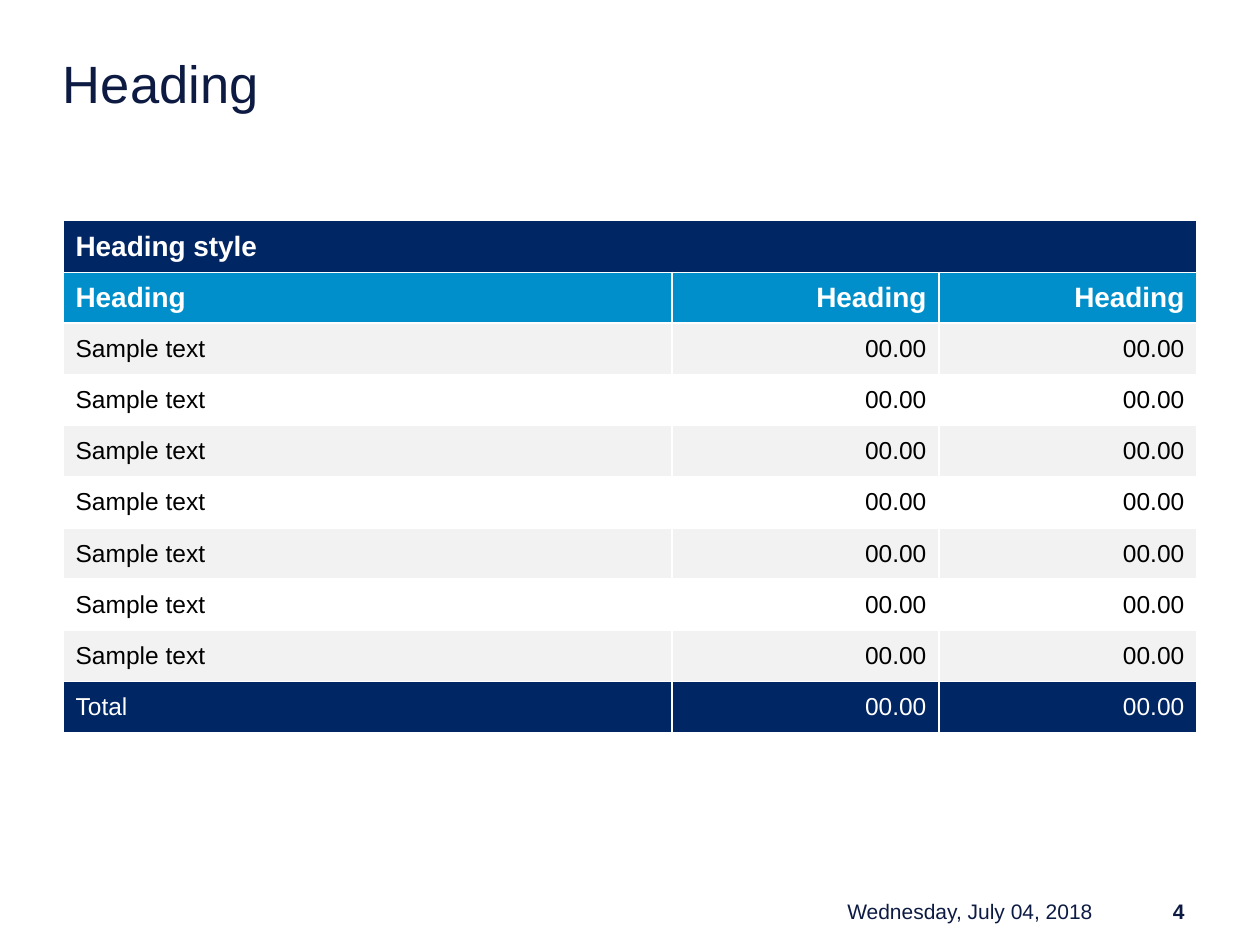
from lxml import etree
from pptx import Presentation
from pptx.dml.color import RGBColor
from pptx.enum import text
from pptx.oxml import ns
from pptx.util import Cm, Pt

NAVY, BLUE, GREY, WHITE, BLACK, INK = (
    "002663", "008FCA", "F2F2F2", "FFFFFF", "000000", "0D1B43")
LEFT, RIGHT = text.PP_ALIGN.LEFT, text.PP_ALIGN.RIGHT
MID, TOP = text.MSO_ANCHOR.MIDDLE, text.MSO_ANCHOR.TOP


def tint(color, tone):
    color.rgb = RGBColor.from_string(tone)


def write(frame, words, size, tone, bold=False, align=LEFT):
    line = frame.paragraphs[0]
    line.alignment = align
    run = line.add_run()
    run.text = words
    look = {"name": "Arial", "size": Pt(size), "bold": bold}
    for key, value in look.items():
        setattr(run.font, key, value)
    tint(run.font.color, tone)


def label(slide, box, words, size, pad=0.25, anchor=MID, **style):
    frame = slide.shapes.add_textbox(*map(Cm, box)).text_frame
    look = {"word_wrap": True, "vertical_anchor": anchor,
            "margin_left": Cm(pad), "margin_right": Cm(pad),
            "margin_top": Cm(pad / 2), "margin_bottom": Cm(pad / 2)}
    for key, value in look.items():
        setattr(frame, key, value)
    write(frame, words, size, INK, **style)


def edge(cell, sides):
    props = cell._tc.get_or_add_tcPr()
    for side, width in sides.items():
        line = etree.SubElement(props, ns.qn("a:ln" + side), w=str(Pt(width)))
        fill = etree.SubElement(line, ns.qn("a:solidFill"))
        etree.SubElement(fill, ns.qn("a:srgbClr"), val=WHITE)


def paint(cell, words, fill, tone, size, bold, align, sides):
    edge(cell, sides)
    cell.fill.solid()
    tint(cell.fill.fore_color, fill)
    cell.vertical_anchor = MID
    if words:
        write(cell.text_frame, words, size, tone, bold, align)


def grid(slide, box):
    nums = ["00.00"] * 2
    rows = [(["Heading style", "", ""], NAVY, WHITE, 16, True),
            (["Heading"] * 3, BLUE, WHITE, 16, True)]
    rows += [(["Sample text"] + nums, (GREY, WHITE)[i % 2], BLACK, 14, False)
             for i in range(7)]
    rows.append((["Total"] + nums, NAVY, WHITE, 14, False))
    widths = (12.28, 5.38, 5.2)
    table = slide.shapes.add_table(
        len(rows), len(widths), *map(Cm, box)).table
    table.first_row = table.horz_banding = False
    for col, width in zip(table.columns, widths):
        col.width = Cm(width)
    for r, (words, *style) in enumerate(rows):
        table.rows[r].height = Cm(box[3] / len(rows))
        sides = {"B": 0.5} if r == 0 else {
            "L": 1, "R": 1, "T": 0.5 if r == 1 else 1, "B": 1}
        for c, word in enumerate(words):
            paint(table.cell(r, c), word, *style, RIGHT if c else LEFT, sides)
    table.cell(0, 0).merge(table.cell(0, 2))


def foot(slide, box):
    left, top, width, height = box
    label(slide, (left, top, 5.92, height), "Wednesday, July 04, 2018", 12,
          align=RIGHT)
    label(slide, (left + width - 2.08, top, 2.08, height), "4", 12,
          bold=True, align=RIGHT)


def main():
    deck = Presentation()
    deck.slide_width, deck.slide_height = Cm(25.4), Cm(19.05)
    slide = deck.slides.add_slide(deck.slide_layouts[6])
    label(slide, (1.27, 1.02, 22.86, 1.68), "Heading", 30, pad=0, anchor=TOP)
    grid(slide, (1.27, 4.45, 22.86, 10.32))
    foot(slide, (16.36, 18.08, 7.77, 0.58))
    deck.save("out.pptx")


if __name__ == "__main__":
    main()
